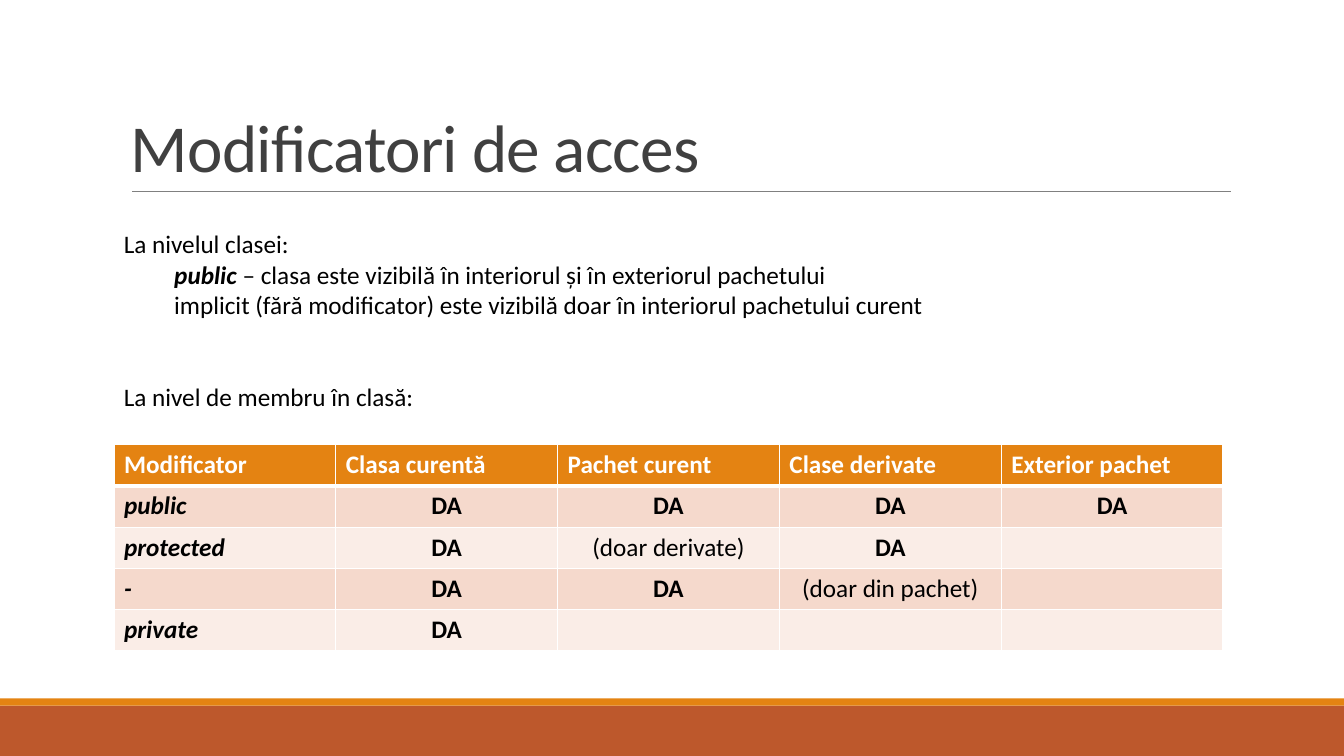
import lxml.etree
import pptx
import pptx.dml.color
import pptx.enum.shapes
import pptx.enum.text
import pptx.oxml.ns
import pptx.util
from pptx.util import Inches

COLORS = {
    "orange": "E48312",
    "rust": "BD582C",
    "rule": "808080",
    "title": "404040",
    "text": "000000",
    "white": "FFFFFF",
    "band_dark": "F5D9CC",
    "band_light": "FAEDE7",
}
HEADER = ["Modificator", "Clasa curentă", "Pachet curent", "Clase derivate", "Exterior pachet"]
ACCESS_ROWS = [
    ["public", "DA", "DA", "DA", "DA"],
    ["protected", "DA", "(doar derivate)", "DA", ""],
    ["-", "DA", "DA", "(doar din pachet)", ""],
    ["private", "DA", "", "", ""],
]
# Each paragraph: left indent in inches, space before in points, runs as (text, emphasised)
PARAGRAPHS = [
    (0, 0, [("La nivelul clasei:", False)]),
    (0.5, 0, [("public", True),
              (" – clasa este vizibilă în interiorul și în exteriorul pachetului", False)]),
    (0.5, 0, [("implicit (fără modificator) este vizibilă doar în interiorul pachetului curent", False)]),
    (0, 44, [("La nivel de membru în clasă:", False)]),
]


def rgb(name):
    return pptx.dml.color.RGBColor.from_string(COLORS[name])


def format_run(run, size, color, bold=False, italic=False):
    run.font.name = "Calibri"
    run.font.size = pptx.util.Pt(size)
    run.font.color.rgb = rgb(color)
    run.font.bold = bold
    run.font.italic = italic


presentation = pptx.Presentation()
presentation.slide_width = Inches(13.33)
presentation.slide_height = Inches(7.5)
slide = presentation.slides.add_slide(presentation.slide_layouts[6])

# Footer bands
for top, height, color in [(7, 0.5, "rust"), (6.93, 0.07, "orange")]:
    band = slide.shapes.add_shape(pptx.enum.shapes.MSO_SHAPE.RECTANGLE,
                                  0, Inches(top), presentation.slide_width, Inches(height))
    band.shadow.inherit = False
    band.fill.solid()
    band.fill.fore_color.rgb = rgb(color)
    band.line.fill.background()

# Rule under the title
rule = slide.shapes.add_connector(pptx.enum.shapes.MSO_CONNECTOR.STRAIGHT,
                                  Inches(1.31), Inches(1.9), Inches(12.21), Inches(1.9))
rule.line.color.rgb = rgb("rule")
rule.line.width = pptx.util.Pt(0.5)
lxml.etree.SubElement(rule._element.spPr, pptx.oxml.ns.qn("a:effectLst"))

# Title
title = slide.shapes.add_textbox(Inches(1.2), Inches(0.31), Inches(11), Inches(1.59))
title.text_frame.word_wrap = True
title.text_frame.vertical_anchor = pptx.enum.text.MSO_ANCHOR.BOTTOM
title.text_frame.text = "Modificatori de acces"
paragraph = title.text_frame.paragraphs[0]
paragraph.line_spacing = 0.85
format_run(paragraph.runs[0], 48, "title")
paragraph.runs[0].font._element.set("spc", "-50")

# Access table
table = slide.shapes.add_table(len(ACCESS_ROWS) + 1, len(HEADER),
                               Inches(1.13), Inches(4.41), Inches(11), Inches(2.03)).table
for row_index, texts in enumerate([HEADER] + ACCESS_ROWS):
    is_header = row_index == 0
    table.rows[row_index].height = Inches(0.41)
    if is_header:
        fill = "orange"
    else:
        fill = "band_dark" if row_index % 2 else "band_light"
    for column_index, text in enumerate(texts):
        cell = table.cell(row_index, column_index)
        cell_properties = cell._tc.get_or_add_tcPr()
        for side in ["L", "R", "T", "B"]:
            # The edge between header and body is thicker
            thick = (row_index, side) in [(0, "B"), (1, "T")]
            border = lxml.etree.SubElement(cell_properties, pptx.oxml.ns.qn(f"a:ln{side}"),
                                           w=str(pptx.util.Pt(3 if thick else 1)))
            border_fill = lxml.etree.SubElement(border, pptx.oxml.ns.qn("a:solidFill"))
            lxml.etree.SubElement(border_fill, pptx.oxml.ns.qn("a:srgbClr"), val=COLORS["white"])
        cell.fill.solid()
        cell.fill.fore_color.rgb = rgb(fill)
        if not text:
            continue
        cell.text_frame.text = text
        paragraph = cell.text_frame.paragraphs[0]
        if not is_header and column_index > 0:
            paragraph.alignment = pptx.enum.text.PP_ALIGN.CENTER
        format_run(paragraph.runs[0], 18, "white" if is_header else "text",
                   bold=not text.startswith("("),
                   italic=not is_header and column_index == 0)

# Explanation above the table
explanation = slide.shapes.add_textbox(Inches(1.13), Inches(2.22), Inches(11.07), Inches(1.92))
explanation.text_frame.word_wrap = True
for index, (indent, space_before, runs) in enumerate(PARAGRAPHS):
    if index == 0:
        paragraph = explanation.text_frame.paragraphs[0]
    else:
        paragraph = explanation.text_frame.add_paragraph()
    paragraph.space_before = pptx.util.Pt(space_before)
    paragraph._p.get_or_add_pPr().set("marL", str(Inches(indent)))
    for text, emphasised in runs:
        run = paragraph.add_run()
        run.text = text
        format_run(run, 18, "text", bold=emphasised, italic=emphasised)

presentation.save("out.pptx")
